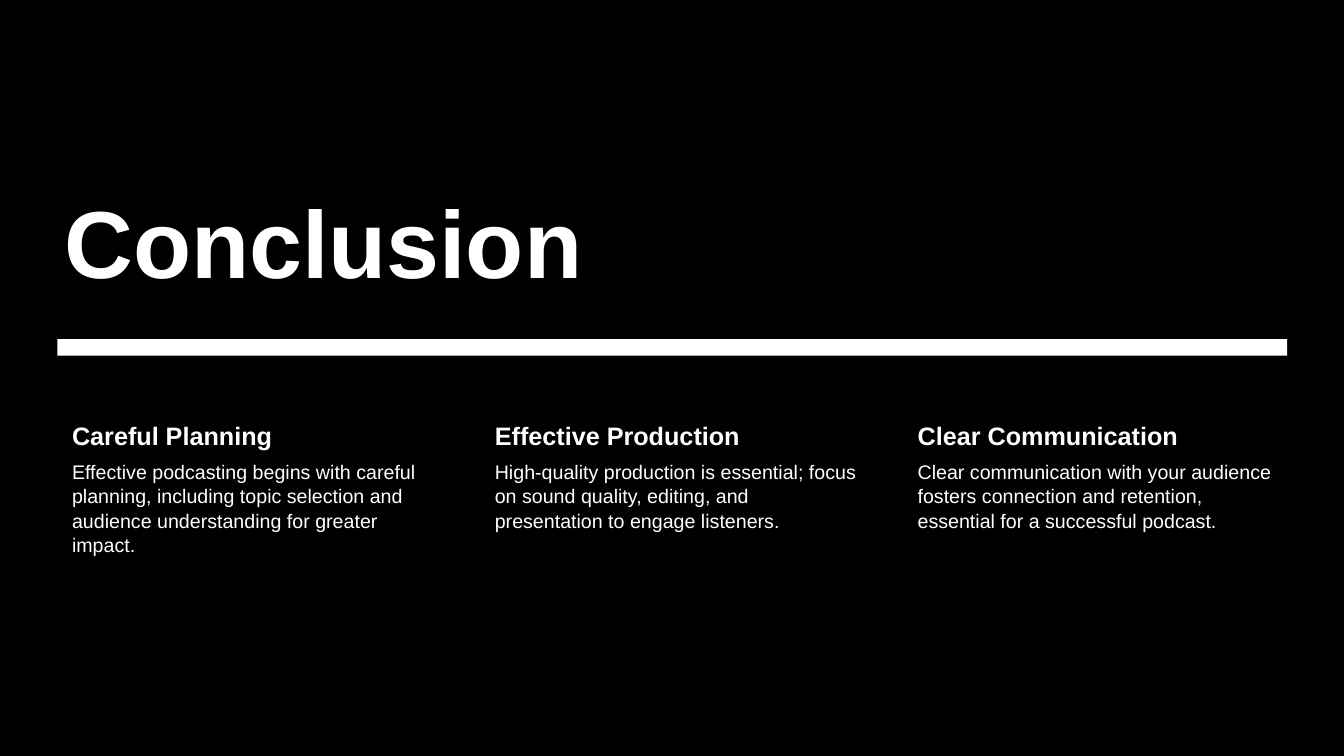
from pptx import Presentation
from pptx.dml.color import RGBColor
from pptx.enum import shapes, text
from pptx.util import Pt

COLORS = {"background": "000000", "foreground": "FFFFFF"}
FONT = "Arial"
SLIDE_WIDTH, SLIDE_HEIGHT = 960, 540
MARGIN, CONTENT_WIDTH = 41, 878.4
COLUMN_WIDTH = 274.4
COLUMN_STEP = (CONTENT_WIDTH - COLUMN_WIDTH) / 2
HEADING_TOP, HEADING_HEIGHT = 298.1, 28.1
DETAIL_HEIGHT = 164.9

TAKEAWAYS = [
    ("Careful Planning",
     "Effective podcasting begins with careful planning, including topic "
     "selection and audience understanding for greater impact."),
    ("Effective Production",
     "High-quality production is essential; focus on sound quality, editing, "
     "and presentation to engage listeners."),
    ("Clear Communication",
     "Clear communication with your audience fosters connection and "
     "retention, essential for a successful podcast."),
]


def write_text(frame, wording, size, bold=False, spacing=1.0,
               insets=(7.2, 3.6, 7.2, 3.6), anchor=text.MSO_ANCHOR.TOP):
    frame.word_wrap = True
    frame.auto_size = text.MSO_AUTO_SIZE.NONE
    frame.vertical_anchor = anchor
    (frame.margin_left, frame.margin_top,
     frame.margin_right, frame.margin_bottom) = map(Pt, insets)
    paragraph = frame.paragraphs[0]
    paragraph.alignment = text.PP_ALIGN.LEFT
    paragraph.line_spacing = spacing
    run = paragraph.add_run()
    run.text = wording
    run.font.name = FONT
    run.font.size = Pt(size)
    run.font.bold = bold
    run.font.color.rgb = RGBColor.from_string(COLORS["foreground"])


def add_panel(slide, left, top, width, height, color):
    panel = slide.shapes.add_shape(
        shapes.MSO_SHAPE.RECTANGLE, Pt(left), Pt(top), Pt(width), Pt(height))
    panel.shadow.inherit = False
    panel.fill.solid()
    panel.fill.fore_color.rgb = RGBColor.from_string(COLORS[color])
    panel.line.fill.background()


def place_title(slide, wording):
    title = slide.shapes.title
    title.left, title.top = Pt(MARGIN), Pt(104.4)
    title.width, title.height = Pt(CONTENT_WIDTH), Pt(110.9)
    write_text(title.text_frame, wording, 68, bold=True,
               insets=(5, 3.6, 7.2, 2.5), anchor=text.MSO_ANCHOR.BOTTOM)
    # Bring the title in front of the backdrop
    title.element.getparent().append(title.element)


def add_takeaway(group, left, heading, detail):
    heading_box = group.shapes.add_textbox(
        Pt(left), Pt(HEADING_TOP), Pt(COLUMN_WIDTH), Pt(HEADING_HEIGHT))
    write_text(heading_box.text_frame, heading, 18, bold=True,
               insets=(10.5, 2, 2, 2))
    detail_box = group.shapes.add_textbox(
        Pt(left), Pt(HEADING_TOP + HEADING_HEIGHT),
        Pt(COLUMN_WIDTH), Pt(DETAIL_HEIGHT))
    write_text(detail_box.text_frame, detail, 14, spacing=1.04,
               insets=(10.5, 1.5, 1.5, 1.5))


def main():
    deck = Presentation()
    deck.slide_width, deck.slide_height = Pt(SLIDE_WIDTH), Pt(SLIDE_HEIGHT)
    slide = deck.slides.add_slide(deck.slide_layouts[5])

    # Backdrop and divider
    slide.background.fill.solid()
    slide.background.fill.fore_color.rgb = RGBColor.from_string(
        COLORS["background"])
    add_panel(slide, 0, 0, SLIDE_WIDTH, SLIDE_HEIGHT, "background")
    add_panel(slide, MARGIN, 242.3, CONTENT_WIDTH, 11.8, "foreground")

    # Title
    place_title(slide, "Conclusion")

    # Three takeaways
    takeaways = slide.shapes.add_group_shape()
    for column, (heading, detail) in enumerate(TAKEAWAYS):
        add_takeaway(takeaways, MARGIN + column * COLUMN_STEP, heading, detail)

    deck.save("out.pptx")


if __name__ == "__main__":
    main()
